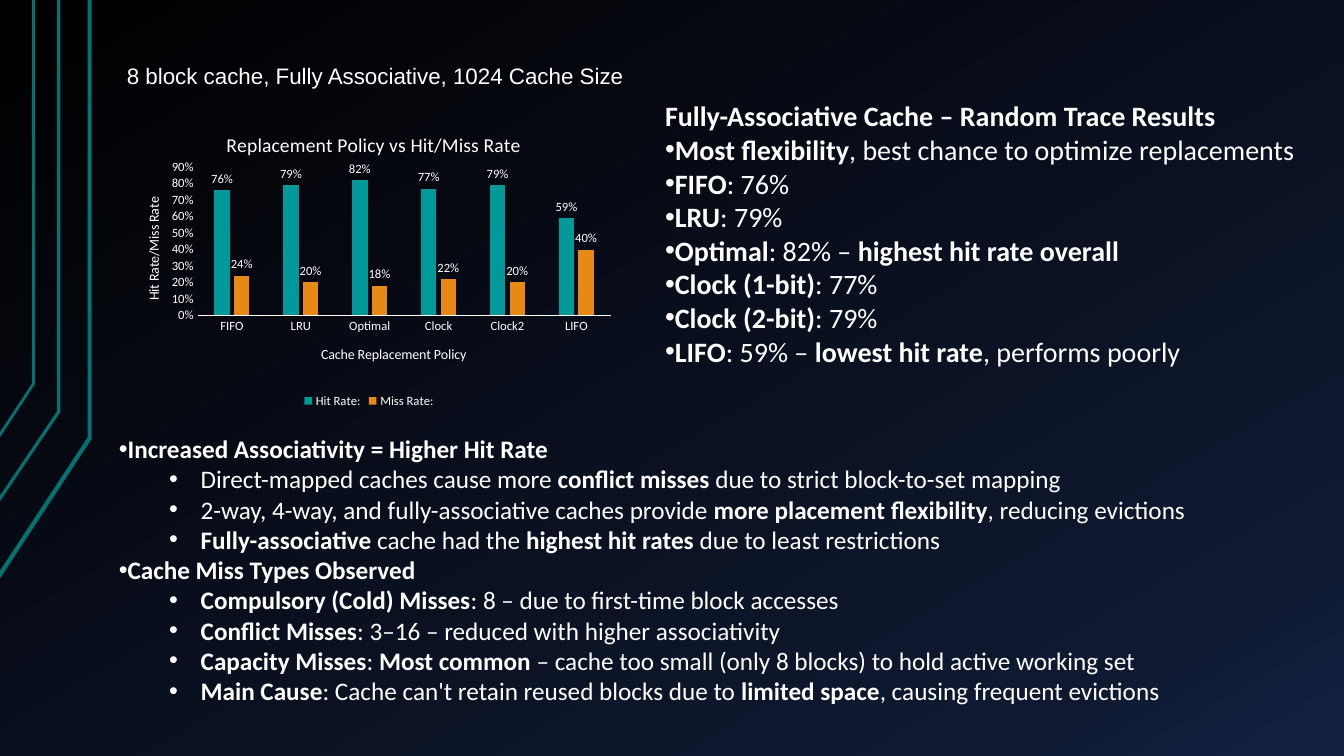
import copy

import pptx
import pptx.chart.data
import pptx.dml.color
import pptx.enum.chart
import pptx.enum.text
import pptx.oxml
import pptx.oxml.ns
import pptx.util

Pt = pptx.util.Pt
COLORS = {"white": "FFFFFF", "teal": "009999", "orange": "E98915", "trace": "007373"}
BACKGROUND = [(0, "000000"), (0.85, "0F1931"), (1, "142242")]
TRACES = [
    (3, [(-1, 412), (63.5, 313), (63.5, 0)]),
    (2.25, [(-1.5, 359), (42, 294), (42, 0)]),
    (2, [(-1, 312.5), (24.5, 274.5), (24.5, 0)]),
]
POLICIES = ["FIFO", "LRU", "Optimal", "Clock", "Clock2", "LIFO"]
RATES = [
    ("Hit Rate:", "teal", [0.76, 0.79, 0.82, 0.77, 0.79, 0.59]),
    ("Miss Rate:", "orange", [0.24, 0.2, 0.18, 0.22, 0.2, 0.4]),
]
RESULTS = [
    (None, "**Fully-Associative Cache – Random Trace Results**"),
    (0, "**Most flexibility**, best chance to optimize replacements"),
    (0, "**FIFO**: 76%"),
    (0, "**LRU**: 79%"),
    (0, "**Optimal**: 82% – **highest hit rate overall**"),
    (0, "**Clock (1-bit)**: 77%"),
    (0, "**Clock (2-bit)**: 79%"),
    (0, "**LIFO**: 59% – **lowest hit rate**, performs poorly"),
]
FINDINGS = [
    (0, "**Increased Associativity = Higher Hit Rate**"),
    (1, "Direct-mapped caches cause more **conflict misses** due to strict block-to-set mapping"),
    (1, "2-way, 4-way, and fully-associative caches provide **more placement flexibility**, reducing evictions"),
    (1, "**Fully-associative** cache had the **highest hit rates** due to least restrictions"),
    (0, "**Cache Miss Types Observed**"),
    (1, "**Compulsory (Cold) Misses**: 8 – due to first-time block accesses"),
    (1, "**Conflict Misses**: 3–16 – reduced with higher associativity"),
    (1, "**Capacity Misses**: **Most common** – cache too small (only 8 blocks) to hold active working set"),
    (1, "**Main Cause**: Cache can't retain reused blocks due to **limited space**, causing frequent evictions"),
]


def color(name):
    return pptx.dml.color.RGBColor.from_string(COLORS.get(name, name))


def style_font(font, size, name="Calibri", bold=False):
    font.size, font.name, font.bold = Pt(size), name, bold
    font.color.rgb = color("white")


def write(para, text, level=None, **style):
    for index, part in enumerate(text.split("**")):
        if part:
            span = para.add_run()
            span.text = part
            style_font(span.font, bold=index % 2 == 1, **style)
    if level is not None:
        para.level = level
        props = para._p.get_or_add_pPr()
        props.set("marL", str(Pt(58.5 * level)))
        props.set("indent", str(Pt(-22.5 * level)))
        for tag, key, value in (("buFont", "typeface", "Arial"), ("buChar", "char", "•")):
            pptx.oxml.ns.qn("a:" + tag)
            props.append(pptx.oxml.parse_xml(
                f'<a:{tag} {pptx.oxml.ns.nsdecls("a")} {key}="{value}"/>'))


def place(parent, x, y, width=None, height=None):
    old = parent.find(pptx.oxml.ns.qn("c:layout"))
    if old is not None:
        parent.remove(old)
    target = '<c:layoutTarget val="inner"/>' if width else ""
    size = f'<c:w val="{width}"/><c:h val="{height}"/>' if width else ""
    layout = pptx.oxml.parse_xml(
        f'<c:layout {pptx.oxml.ns.nsdecls("c")}><c:manualLayout>{target}'
        f'<c:xMode val="edge"/><c:yMode val="edge"/><c:x val="{x}"/><c:y val="{y}"/>{size}'
        "</c:manualLayout></c:layout>")
    text = parent.find(pptx.oxml.ns.qn("c:tx"))
    parent.insert(0 if text is None else 1, layout)


class SlideBuilder:
    """Holds the style and the current slide and adds each kind of element."""

    def __init__(self, slide):
        self.slide = slide

    def background(self, stops, angle):
        fill = self.slide.background.fill
        fill.gradient()
        fill.gradient_angle = 360 - angle
        stop_list = self.slide.element.find(".//" + pptx.oxml.ns.qn("a:gsLst"))
        stop_list.append(copy.deepcopy(stop_list[-1]))
        for stop, (position, value) in zip(fill.gradient_stops, stops):
            stop.position = position
            stop.color.rgb = color(value)

    def trace(self, width, points):
        builder = self.slide.shapes.build_freeform(*points[0], scale=Pt(1))
        builder.add_line_segments(points[1:], close=False)
        shape = builder.convert_to_shape()
        shape.shadow.inherit = False
        shape.fill.background()
        shape.line.color.rgb = color("trace")
        shape.line.width = Pt(width)

    def text(self, left, top, width, height, lines, **style):
        box = self.slide.shapes.add_textbox(*map(Pt, (left, top, width, height)))
        frame = box.text_frame
        frame.word_wrap = True
        frame.auto_size = pptx.enum.text.MSO_AUTO_SIZE.SHAPE_TO_FIT_TEXT
        for index, (level, line) in enumerate(lines):
            para = frame.add_paragraph() if index else frame.paragraphs[0]
            write(para, line, level, **style)

    def title(self, owner, text, size, x, y):
        title = owner.chart_title if hasattr(owner, "chart_title") else owner.axis_title
        write(title.text_frame.paragraphs[0], text, size=size)
        place(title._element, x, y)

    def chart(self, left, top, width, height):
        data = pptx.chart.data.CategoryChartData(number_format="0%")
        data.categories = POLICIES
        for name, _, values in RATES:
            data.add_series(name, values)
        chart = self.slide.shapes.add_chart(
            pptx.enum.chart.XL_CHART_TYPE.COLUMN_CLUSTERED,
            *map(Pt, (left, top, width, height)), data).chart
        style_font(chart.font, 10)
        plot = chart.plots[0]
        plot.gap_width, plot.overlap, plot.vary_by_categories = 219, -27, False
        for series, (_, fill, _) in zip(plot.series, RATES):
            series.format.fill.solid()
            series.format.fill.fore_color.rgb = color(fill)
            labels = series.data_labels
            labels.show_value = True
            labels.number_format, labels.number_format_is_linked = "0%", False
            labels.position = pptx.enum.chart.XL_LABEL_POSITION.OUTSIDE_END
            style_font(labels.font, 9)
        category, value = chart.category_axis, chart.value_axis
        for axis in (category, value):
            axis.has_major_gridlines = False
            axis.major_tick_mark = pptx.enum.chart.XL_TICK_MARK.NONE
            style_font(axis.tick_labels.font, 9)
        category.format.line.color.rgb = color("white")
        category.format.line.width = Pt(0.75)
        value.format.line.fill.background()
        value.minimum_scale, value.maximum_scale, value.major_unit = 0, 0.9, 0.1
        value.tick_labels.number_format = "0%"
        value.tick_labels.number_format_is_linked = False
        self.title(chart, "Replacement Policy vs Hit/Miss Rate", 14, 0.21, 0.06)
        self.title(category, "Cache Replacement Policy", 10, 0.4, 0.77)
        self.title(value, "Hit Rate/Miss Rate", 10, 0.05, 0.28)
        chart.has_legend = True
        chart.legend.position = pptx.enum.chart.XL_LEGEND_POSITION.BOTTOM
        chart.legend.include_in_layout = False
        style_font(chart.legend.font, 9)
        place(plot._element.getparent(), 0.16, 0.19, 0.82, 0.49)


def main():
    deck = pptx.Presentation()
    deck.slide_width, deck.slide_height = Pt(960), Pt(540)
    page = SlideBuilder(deck.slides.add_slide(deck.slide_layouts[6]))
    page.background(BACKGROUND, 60)
    for width, points in TRACES:
        page.trace(width, points)
    page.text(83.5, 40.5, 407.5, 26.5,
              [(None, "8 block cache, Fully Associative, 1024 Cache Size")], size=16, name="Arial")
    page.text(468, 67, 481, 201, RESULTS, size=20)
    page.text(77.75, 306, 840, 204, FINDINGS, size=18)
    page.chart(83.5, 78.5, 360, 216)
    deck.save("out.pptx")


if __name__ == "__main__":
    main()
